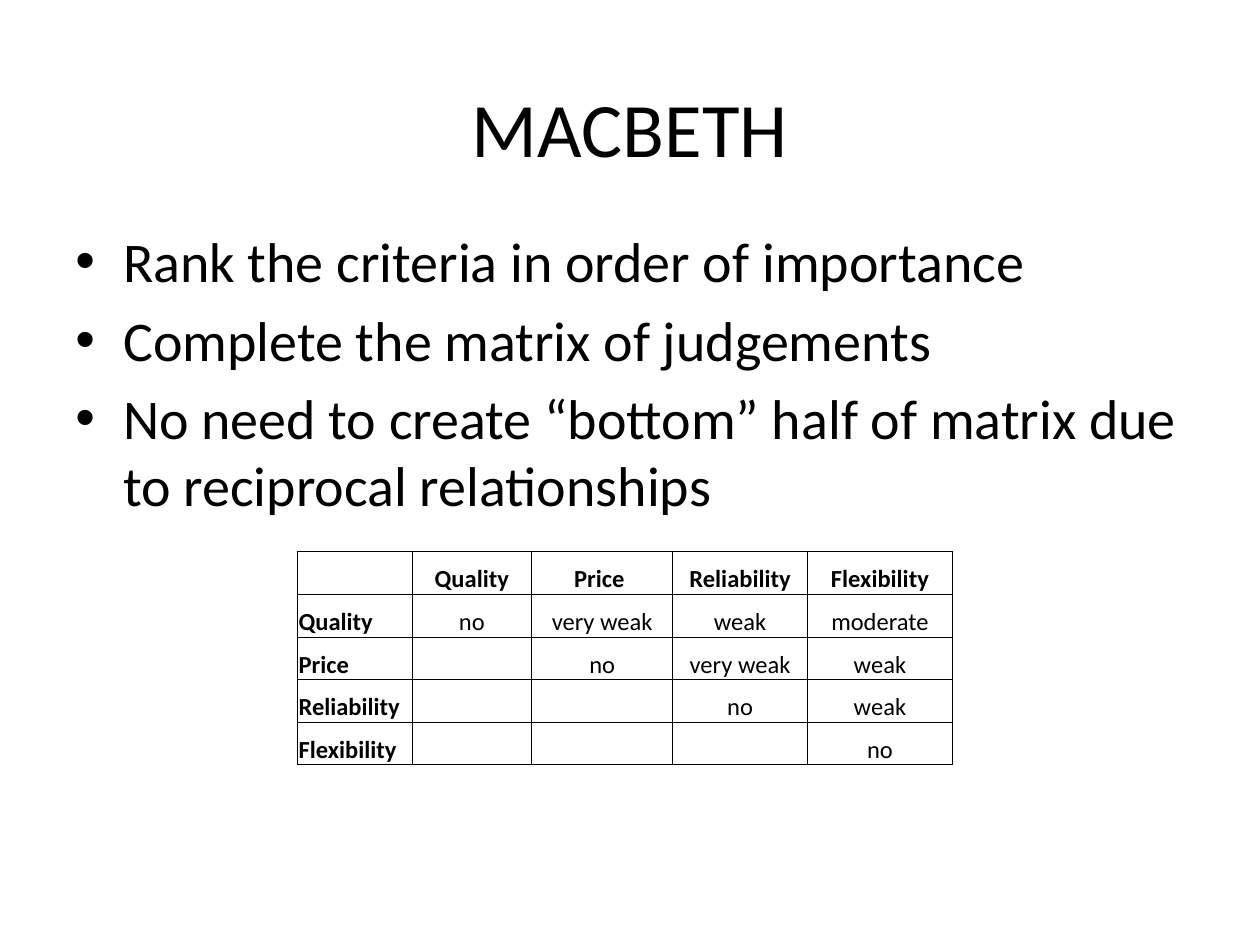
from lxml import etree
from pptx import Presentation
from pptx.dml.color import RGBColor
from pptx.enum.text import MSO_ANCHOR, PP_ALIGN
from pptx.oxml.ns import qn
from pptx.util import Inches, Pt

LEFT, CENTER = PP_ALIGN.LEFT, PP_ALIGN.CENTER
MIDDLE, BOTTOM = MSO_ANCHOR.MIDDLE, MSO_ANCHOR.BOTTOM
TITLE_ONLY = 5
FONT = "Calibri"
BLACK = "000000"

BULLETS = [
    "Rank the criteria in order of importance",
    "Complete the matrix of judgements",
    "No need to create “bottom” half of matrix due to reciprocal relationships",
]
JUDGEMENTS = [
    ["", "Quality", "Price ", "Reliability", "Flexibility"],
    ["Quality", "no", "very weak", "weak", "moderate"],
    ["Price", "", "no", "very weak", "weak"],
    ["Reliability", "", "", "no", "weak"],
    ["Flexibility", "", "", "", "no"],
]
COLUMN_WIDTHS = [0.91, 0.95, 1.12, 1.07, 1.15]


def color(hex_string):
    return RGBColor.from_string(hex_string)


def write(p, text, size=14, bold=False, align=LEFT):
    p.alignment = align
    r = p.add_run()
    r.text = text
    r.font.name = FONT
    r.font.size = Pt(size)
    r.font.bold = bold
    r.font.color.rgb = color(BLACK)


def place(sp, left, top, width, height):
    sp.left, sp.top = Inches(left), Inches(top)
    sp.width, sp.height = Inches(width), Inches(height)


def add_bullet(p, indent):
    pPr = p._p.get_or_add_pPr()
    pPr.set("marL", str(Inches(indent)))
    pPr.set("indent", str(-Inches(indent)))
    etree.SubElement(pPr, qn("a:buFont")).set("typeface", "Arial")
    etree.SubElement(pPr, qn("a:buChar")).set("char", "•")


def add_borders(cell, width, hex_string):
    tcPr = cell._tc.get_or_add_tcPr()
    for side in ("a:lnL", "a:lnR", "a:lnT", "a:lnB"):
        ln = etree.SubElement(tcPr, qn(side), w=str(Pt(width)))
        fill = etree.SubElement(ln, qn("a:solidFill"))
        etree.SubElement(fill, qn("a:srgbClr"), val=hex_string)


def add_title(s, text, box):
    sp = s.shapes.title
    place(sp, *box)
    tf = sp.text_frame
    tf.vertical_anchor = MIDDLE
    write(tf.paragraphs[0], text, size=44, align=CENTER)


def add_bullet_list(s, items, box):
    sp = s.shapes.add_textbox(*map(Inches, box))
    tf = sp.text_frame
    tf.word_wrap = True
    for i, item in enumerate(items):
        p = tf.add_paragraph() if i else tf.paragraphs[0]
        p.space_before = Pt(6.4)
        add_bullet(p, 0.38)
        write(p, item, size=32)


def add_matrix(s, rows, widths, box):
    frame = s.shapes.add_table(len(rows), len(widths), *map(Inches, box))
    table = frame.table
    table.first_row = table.horz_banding = False
    for column, width in zip(table.columns, widths):
        column.width = Inches(width)
    for i, row in enumerate(rows):
        for j, text in enumerate(row):
            cell = table.cell(i, j)
            add_borders(cell, 0.5, BLACK)
            cell.fill.background()
            cell.vertical_anchor = BOTTOM
            cell.margin_left = cell.margin_right = cell.margin_top = Inches(0.01)
            cell.margin_bottom = 0
            # Criteria names are bold; row names align left
            write(cell.text_frame.paragraphs[0], text,
                  bold=i == 0 or j == 0, align=CENTER if j else LEFT)


def main():
    prs = Presentation()
    prs.slide_width, prs.slide_height = Inches(10), Inches(7.5)
    s = prs.slides.add_slide(prs.slide_layouts[TITLE_ONLY])

    add_title(s, "MACBETH", (0.5, 0.38, 9, 1.25))
    add_bullet_list(s, BULLETS, (0.5, 1.75, 9, 4.95))
    add_matrix(s, JUDGEMENTS, COLUMN_WIDTHS, (2.36, 4.38, 5.2, 1.69))

    prs.save("out.pptx")


if __name__ == "__main__":
    main()
